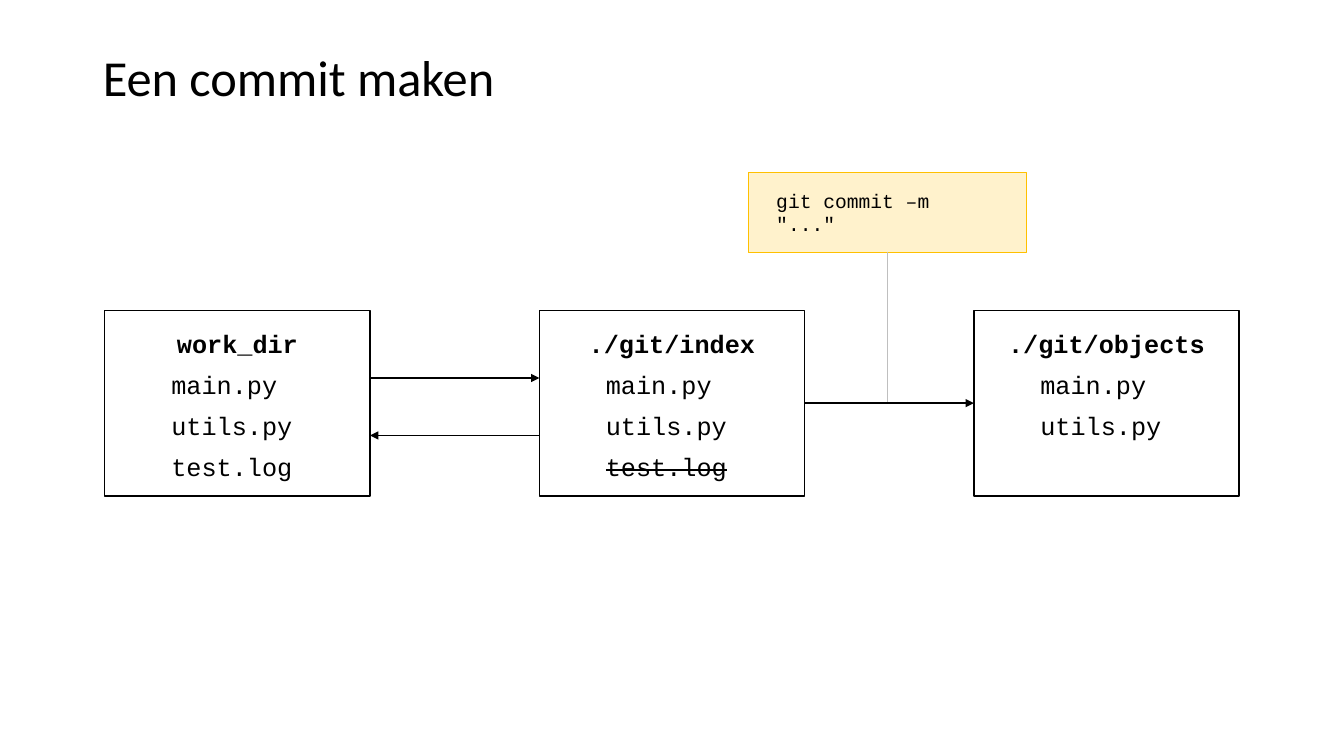
from pptx import Presentation
from pptx.dml.color import RGBColor
from pptx.enum.shapes import MSO_CONNECTOR as CONN, MSO_SHAPE as SHAPE
from pptx.enum.text import MSO_ANCHOR as ANCHOR, PP_ALIGN as ALIGN
from pptx.oxml.ns import qn
from pptx.util import Inches, Pt
from lxml.etree import SubElement

BLACK = RGBColor(0x00, 0x00, 0x00)
WHITE = RGBColor(0xFF, 0xFF, 0xFF)
GREY = RGBColor(0xBF, 0xBF, 0xBF)
CREAM = RGBColor(0xFF, 0xF2, 0xCC)
AMBER = RGBColor(0xFF, 0xC0, 0x00)

# Layout in percent of the slide's width or height
LEFT, PITCH, BOX_W = 7.8, 32.33, 19.73
BOX_TOP, BOX_H = 41.07, 24.53
NOTE_LEFT, NOTE_TOP, NOTE_W, NOTE_H = 55.66, 22.8, 20.71, 10.53
ADD_Y, COMMIT_Y, RESTORE_Y = 50, 53.33, 57.6

STAGES = [
    ("work_dir", ["main.py", "utils.py", "test.log"], []),
    ("./git/index", ["main.py", "utils.py", "test.log"], ["test.log"]),
    ("./git/objects", ["main.py", "utils.py"], []),
]


class Diagram:
    heading_font, code_font = "Calibri", "Courier New"

    def __init__(self, prs):
        self.w, self.h = prs.slide_width, prs.slide_height
        self.s = prs.slides.add_slide(prs.slide_layouts[5])

    def x(self, share):
        return int(self.w * share / 100)

    def y(self, share):
        return int(self.h * share / 100)

    def font(self, p, name, size, bold=False):
        for r in p.runs:
            f = r.font
            f.name, f.size, f.bold = name, Pt(size), bold
            f.color.rgb = BLACK

    def title(self, text, left, top, width, height):
        sp = self.s.shapes.title
        sp.left, sp.top = self.x(left), self.y(top)
        sp.width, sp.height = self.x(width), self.y(height)
        tf = sp.text_frame
        tf.text = text
        tf.vertical_anchor = ANCHOR.MIDDLE
        p = tf.paragraphs[0]
        p.alignment, p.line_spacing = ALIGN.LEFT, 0.9
        self.font(p, self.heading_font, 36)

    def box(self, left, top, width, height, fill, line, weight, inset, anchor):
        sp = self.s.shapes.add_shape(SHAPE.RECTANGLE, self.x(left), self.y(top),
                                     self.x(width), self.y(height))
        sp.shadow.inherit = False
        sp.fill.solid()
        sp.fill.fore_color.rgb = fill
        sp.line.color.rgb, sp.line.width = line, Pt(weight)
        tf = sp.text_frame
        tf.word_wrap, tf.vertical_anchor = True, anchor
        tf.margin_left = tf.margin_right = Inches(inset[0])
        tf.margin_top = tf.margin_bottom = Inches(inset[1])
        return tf

    def stage(self, left, name, files, struck):
        tf = self.box(left, BOX_TOP, BOX_W, BOX_H, WHITE, BLACK, 1,
                      (0.16, 0.16), ANCHOR.TOP)
        tf.text = "\n".join([name] + files)
        for i, p in enumerate(tf.paragraphs):
            p.space_after, p.line_spacing = Pt(6), 1.07
            p.alignment = ALIGN.LEFT if i else ALIGN.CENTER
            self.font(p, self.code_font, 18, bold=i == 0)
            if i:
                p.level = 1
                p._p.get_or_add_pPr().set("marL", str(Inches(0.5)))
            if p.text in struck:
                p.runs[0].font._element.set("strike", "sngStrike")

    def note(self, text, left, top, width, height):
        tf = self.box(left, top, width, height, CREAM, AMBER, 0.5,
                      (0.28, 0.12), ANCHOR.MIDDLE)
        tf.text = text
        p = tf.paragraphs[0]
        p.alignment = ALIGN.LEFT
        self.font(p, self.code_font, 14)

    def line(self, x1, y1, x2, y2, color=BLACK, weight=1, arrow=True):
        c = self.s.shapes.add_connector(CONN.STRAIGHT, self.x(x1), self.y(y1),
                                        self.x(x2), self.y(y2))
        c.line.color.rgb, c.line.width = color, Pt(weight)
        if arrow:
            SubElement(c.line._get_or_add_ln(), qn("a:tailEnd"), type="triangle")
        SubElement(c._element.spPr, qn("a:effectLst"))


def main():
    prs = Presentation()
    prs.slide_width, prs.slide_height = Inches(13.33), Inches(7.5)
    d = Diagram(prs)
    d.title("Een commit maken", 6.9, 5.33, 86.27, 10.53)

    # The three stages
    lefts = [LEFT + i * PITCH for i in range(len(STAGES))]
    rights = [left + BOX_W for left in lefts]
    for left, stage in zip(lefts, STAGES):
        d.stage(left, *stage)

    # Arrows between the stages
    d.line(rights[0], ADD_Y, lefts[1], ADD_Y)
    d.line(lefts[1], RESTORE_Y, rights[0], RESTORE_Y)

    # Commit command, tied to its arrow
    d.note('git commit –m "..."', NOTE_LEFT, NOTE_TOP, NOTE_W, NOTE_H)
    middle = NOTE_LEFT + NOTE_W / 2
    d.line(middle, NOTE_TOP + NOTE_H, middle, COMMIT_Y, GREY, 0.5, arrow=False)
    d.line(rights[1], COMMIT_Y, lefts[2], COMMIT_Y)

    prs.save("out.pptx")


if __name__ == "__main__":
    main()
